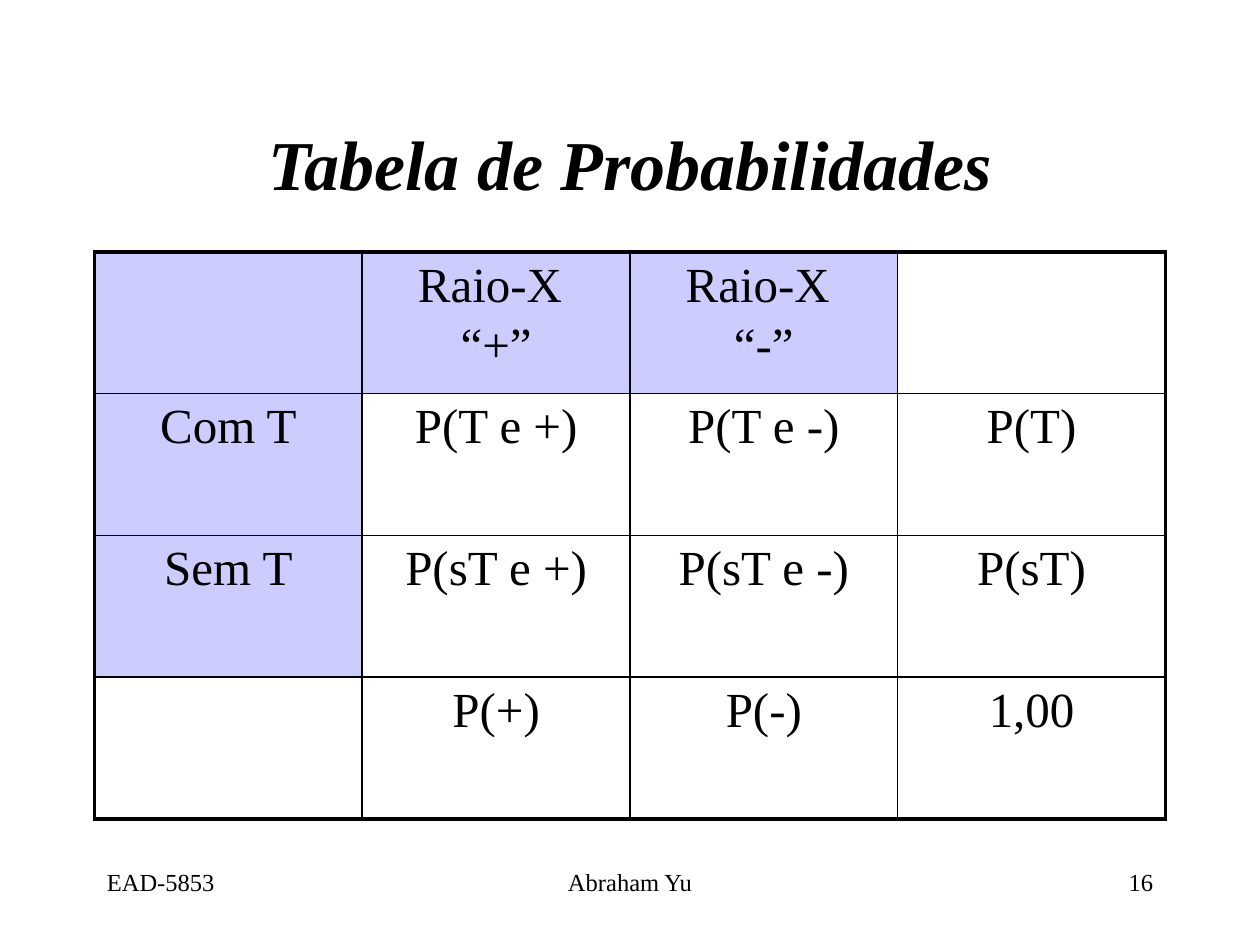
"""Build the probability table slide."""
import pptx
import pptx.dml.color
import pptx.enum.text
import pptx.oxml
import pptx.oxml.ns
import pptx.util

PX = 9525
FONT, BLACK, LILAC = "Times New Roman", "000000", "CCCCFF"
ALIGN = pptx.enum.text.PP_ALIGN
MIDDLE = pptx.enum.text.MSO_ANCHOR.MIDDLE

TITLE = "Tabela de Probabilidades"
TITLE_BOX = (72, 64, 816, 120)
TABLE_BOX = (72, 192, 816, 432)
PROBABILITIES = [
    ["", "Raio-X \n“+”", "Raio-X \n“-”", ""],
    ["Com T", "P(T e +)", "P(T e -)", "P(T)"],
    ["Sem T", "P(sT e +)", "P(sT e -)", "P(sT)"],
    ["", "P(+)", "P(-)", "1,00"],
]
FOOTERS = [
    ("EAD-5853", (72, 656, 200, 48), ALIGN.LEFT),
    ("Abraham Yu", (328, 656, 304, 48), ALIGN.CENTER),
    ("16", (688, 656, 200, 48), ALIGN.RIGHT),
]


def px(*lengths):
    return [length * PX for length in lengths]


def color(value):
    return pptx.dml.color.RGBColor.from_string(value)


def write(frame, text, size, align, bold=False, italic=False, before=0):
    frame.text = text
    frame.word_wrap = True
    for paragraph in frame.paragraphs:
        paragraph.alignment = align
        paragraph.space_before = pptx.util.Pt(before)
        for run in paragraph.runs:
            run.font.name = FONT
            run.font.size = pptx.util.Pt(size)
            run.font.bold = bold
            run.font.italic = italic
            run.font.color.rgb = color(BLACK)


def add_border(cell, side, points):
    width = int(pptx.util.Pt(points))
    cell.get_or_add_tcPr() if hasattr(cell, "get_or_add_tcPr") else None
    cell._tc.get_or_add_tcPr().append(pptx.oxml.parse_xml(
        f'<a:ln{side} {pptx.oxml.ns.nsdecls("a")} w="{width}"><a:solidFill>'
        f'<a:srgbClr val="{BLACK}"/></a:solidFill></a:ln{side}>'))


def add_title(slide):
    title = slide.shapes.title
    title.left, title.top, title.width, title.height = px(*TITLE_BOX)
    title.text_frame.vertical_anchor = MIDDLE
    write(title.text_frame, TITLE, 40, ALIGN.CENTER, bold=True, italic=True)


def add_probabilities(slide):
    last_row, last_column = len(PROBABILITIES) - 1, len(PROBABILITIES[0]) - 1
    table = slide.shapes.add_table(last_row + 1, last_column + 1, *px(*TABLE_BOX)).table
    table.first_row = table.horz_banding = False
    for r, row in enumerate(PROBABILITIES):
        for c, text in enumerate(row):
            cell = table.cell(r, c)
            write(cell.text_frame, text, 28, ALIGN.CENTER, before=3.6)
            outer = {"L": c == 0, "R": c == last_column, "T": r == 0, "B": r == last_row}
            for side, is_outer in outer.items():
                add_border(cell, side, 2.25 if is_outer else 1)
            if (r == 0 or c == 0) and r < last_row and c < last_column:
                cell.fill.solid()
                cell.fill.fore_color.rgb = color(LILAC)
            else:
                cell.fill.background()


def main():
    deck = pptx.Presentation()
    deck.slide_width, deck.slide_height = px(960, 720)
    slide = deck.slides.add_slide(deck.slide_layouts[5])
    for text, box, align in FOOTERS:
        write(slide.shapes.add_textbox(*px(*box)).text_frame, text, 14, align)
    add_title(slide)
    add_probabilities(slide)
    deck.save("out.pptx")


if __name__ == "__main__":
    main()
